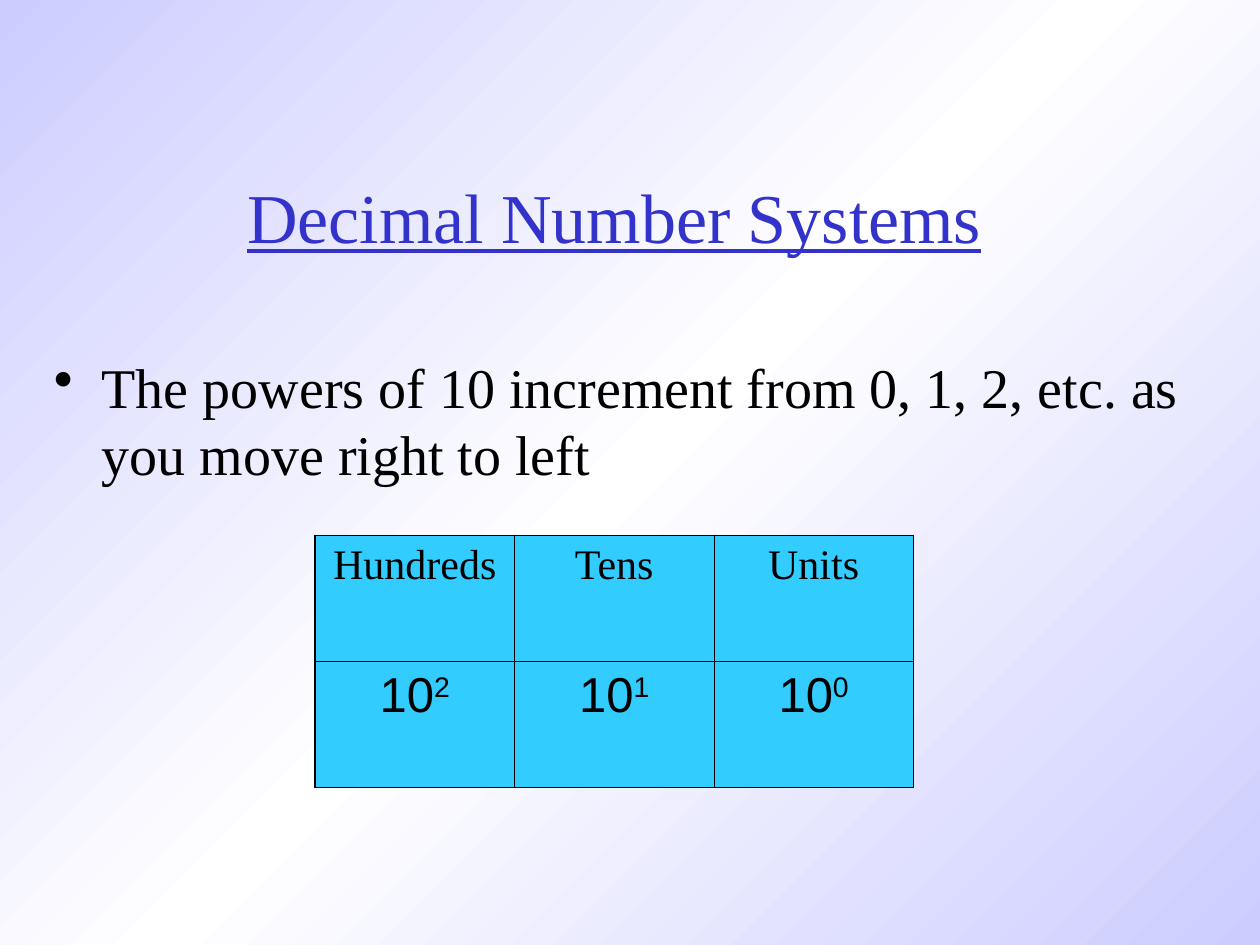
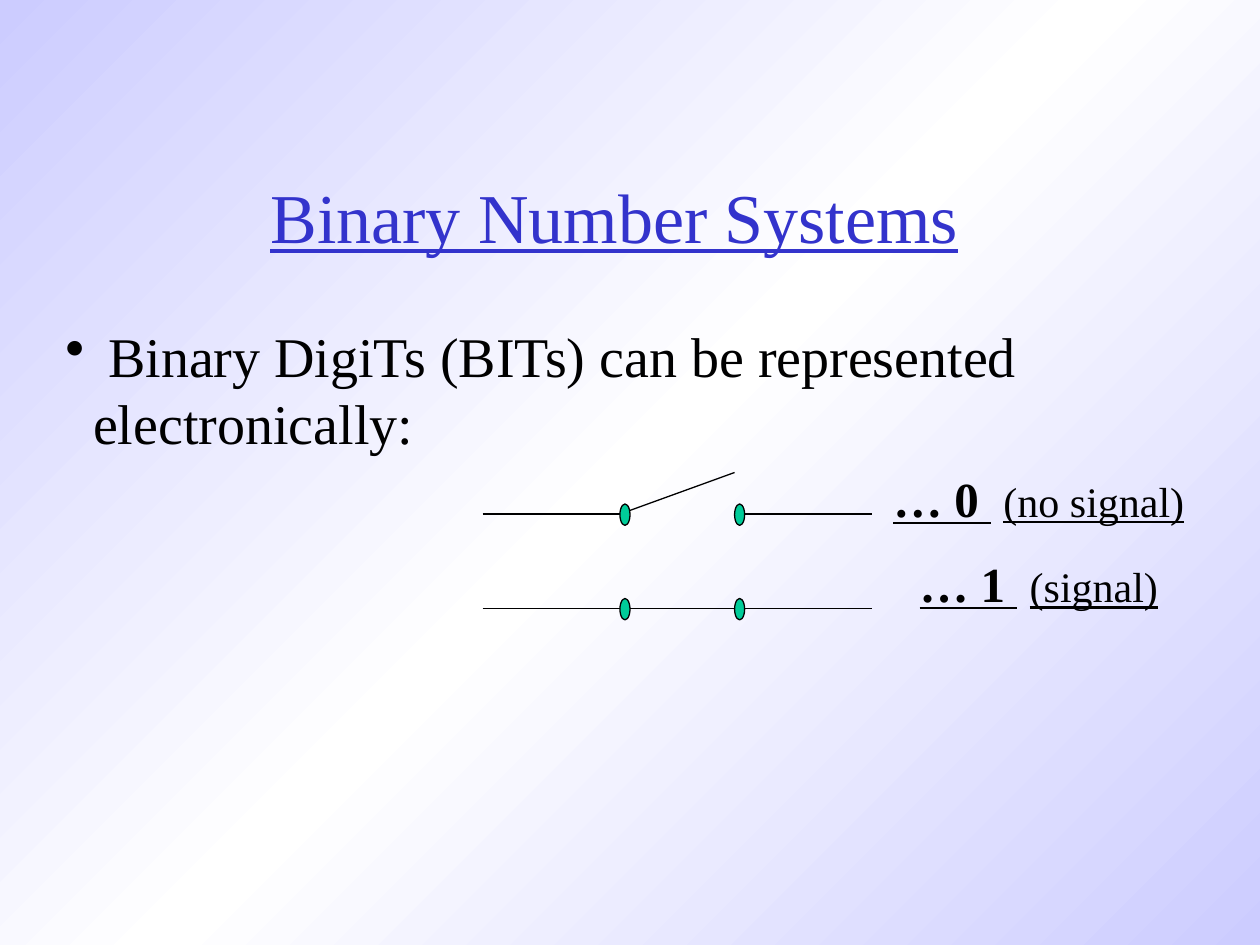
from pptx import Presentation
from pptx.dml.color import RGBColor as Rgb
from pptx.enum.shapes import MSO_CONNECTOR as Connector, MSO_SHAPE as Shape
from pptx.enum.text import MSO_ANCHOR as Anchor, PP_ALIGN as Align
from pptx.oxml import parse_xml
from pptx.oxml.ns import nsdecls, qn
from pptx.util import Inches, Pt
from lxml import etree

COLORS = {"title": "3333CC", "text": "000000", "edge": "CCCCFF", "middle": "FFFFFF",
          "cell": "33CCFF", "contact": "00CC99"}
SERIF, SANS = "Times New Roman", "Arial"


def color(name):
    """Return a named colour."""
    return Rgb.from_string(COLORS[name])


def style(span, size, face=SERIF, ink="text", bold=False, underline=False):
    """Format one run."""
    font = span.font
    font.size, font.name, font.bold, font.underline = Pt(size), face, bold, underline
    font.color.rgb = color(ink)


def add_run(para, text, size, **options):
    """Append a formatted run to a paragraph."""
    span = para.add_run()
    span.text = text
    style(span, size, **options)
    return span


def add_box(page, left, top, width, height):
    """Add a wrapping text box and return its text frame."""
    frame = page.shapes.add_textbox(*map(Inches, (left, top, width, height))).text_frame
    frame.word_wrap = True
    return frame


def set_indent(para, left, bullet=False):
    """Indent a paragraph, with a hanging bullet if asked."""
    props = para._p.get_or_add_pPr()
    props.set("marL", str(Inches(left)))
    props.set("indent", str(-Inches(left) if bullet else 0))
    if bullet:
        tint = etree.SubElement(props, qn("a:buClr"))
        etree.SubElement(tint, qn("a:srgbClr"), val=COLORS["text"])
        etree.SubElement(props, qn("a:buChar"), char="•")


def add_page(deck, title):
    """Add a slide with the shared gradient and underlined title."""
    page = deck.slides.add_slide(deck.slide_layouts[6])
    stops = "".join(f'<a:gs pos="{place}000"><a:srgbClr val="{COLORS[name]}"/></a:gs>'
                    for place, name in ((0, "edge"), (50, "middle"), (100, "edge")))
    page._element.cSld.insert(0, parse_xml(
        f'<p:bg {nsdecls("p", "a")}><p:bgPr><a:gradFill rotWithShape="0">'
        f'<a:gsLst>{stops}</a:gsLst><a:lin ang="2700000" scaled="0"/></a:gradFill>'
        '<a:effectLst/></p:bgPr></p:bg>'))
    frame = add_box(page, 1, 1.17, 7.75, 1.08)
    frame.vertical_anchor = Anchor.MIDDLE
    para = frame.paragraphs[0]
    para.alignment = Align.CENTER
    add_run(para, title, 40, ink="title", underline=True)
    return page


def add_body(page, left, top, width, height, lines):
    """Add body lines, each given as text, indent and bullet."""
    frame = add_box(page, left, top, width, height)
    for index, (text, indent, bullet) in enumerate(lines):
        para = frame.add_paragraph() if index else frame.paragraphs[0]
        set_indent(para, indent, bullet)
        add_run(para, text, 32)


def set_borders(cell, outer_sides):
    """Draw cell borders, heavier on the outer sides."""
    props = cell._tc.get_or_add_tcPr()
    for index, side in enumerate("LRTB"):
        width = Pt(1.08 if side in outer_sides else 0.45)
        props.insert(index, parse_xml(
            f'<a:ln{side} {nsdecls("a")} w="{width}"><a:solidFill>'
            f'<a:srgbClr val="{COLORS["text"]}"/></a:solidFill></a:ln{side}>'))


def add_place_values(page, left, top, width, height):
    """Add the table of place names and their powers of ten."""
    places = (("Hundreds", "2"), ("Tens", "1"), ("Units", "0"))
    last = len(places) - 1
    table = page.shapes.add_table(2, len(places), *map(Inches, (left, top, width, height))).table
    table.first_row = table.horz_banding = False
    for column, (name, power) in enumerate(places):
        for row in range(2):
            cell = table.cell(row, column)
            cell.fill.solid()
            cell.fill.fore_color.rgb = color("cell")
            set_borders(cell, {"B" if row else "T", {0: "L", last: "R"}.get(column)})
            para = cell.text_frame.paragraphs[0]
            para.alignment = Align.CENTER
            if row:
                add_run(para, "10", 28, face=SANS)
                exponent = add_run(para, power, 28, face=SANS)
                exponent._r.get_or_add_rPr().set("baseline", "30000")
            else:
                add_run(para, name, 24)


def add_wire(page, *ends):
    """Draw a thin line between two points."""
    wire = page.shapes.add_connector(Connector.STRAIGHT, *map(Inches, ends))
    wire.line.color.rgb = color("text")
    wire.line.width = Pt(0.75)
    etree.SubElement(wire._element.spPr, qn("a:effectLst"))


def add_switch(page, left, top, lift):
    """Draw a switch whose arm rises by lift, with its two contacts."""
    first, second, right = left + 1.09, left + 2, left + 3.09
    add_wire(page, left, top, first, top)
    add_wire(page, first, top, second, top - lift)
    add_wire(page, second, top, right, top)
    for spot in (first, second):
        contact = page.shapes.add_shape(
            Shape.OVAL, *map(Inches, (spot, top - 0.08, 0.08, 0.17)))
        contact.shadow.inherit = False
        contact.fill.solid()
        contact.fill.fore_color.rgb = color("contact")
        contact.line.color.rgb = color("text")
        contact.line.width = Pt(0.75)


def add_signal_labels(page, left, top, width, height):
    """Label each switch with its bit and meaning."""
    frame = add_box(page, left, top, width, height)
    for index, (bit, meaning) in enumerate((("… 0", "(no signal)"), ("… 1", "(signal)"))):
        para = frame.add_paragraph() if index else frame.paragraphs[0]
        para.alignment = Align.CENTER
        if index:
            para.space_before = Pt(15)
        add_run(para, bit, 28, bold=True, underline=True)
        gap = add_run(para, " ", 28, bold=True, underline=True)
        gap._r.get_or_add_rPr().set("spc", "700")
        add_run(para, meaning, 24, underline=True)


def build_decimal(deck):
    """Build the decimal slide."""
    page = add_page(deck, "Decimal Number Systems")
    text = "The powers of 10 increment from 0, 1, 2, etc. as you move right to left"
    add_body(page, 0.33, 2.75, 9.17, 1.92, [(text, 0.38, True)])
    add_place_values(page, 2.5, 4.25, 4.75, 2)


def build_binary(deck):
    """Build the binary slide."""
    page = add_page(deck, "Binary Number Systems")
    add_body(page, 0.42, 2.5, 9.58, 1.7,
             [("Binary DigiTs (BITs) can be represented", 0.34, True),
              ("electronically:", 0.22, False)])
    for top, lift in ((4.08, 0.33), (4.83, 0)):
        add_switch(page, 3.83, top, lift)
    add_signal_labels(page, 6.83, 3.67, 2.83, 1.24)


def main():
    """Build and save the deck."""
    deck = Presentation()
    deck.slide_width, deck.slide_height = Inches(10), Inches(7.5)
    build_decimal(deck)
    build_binary(deck)
    deck.save("out.pptx")


if __name__ == "__main__":
    main()
